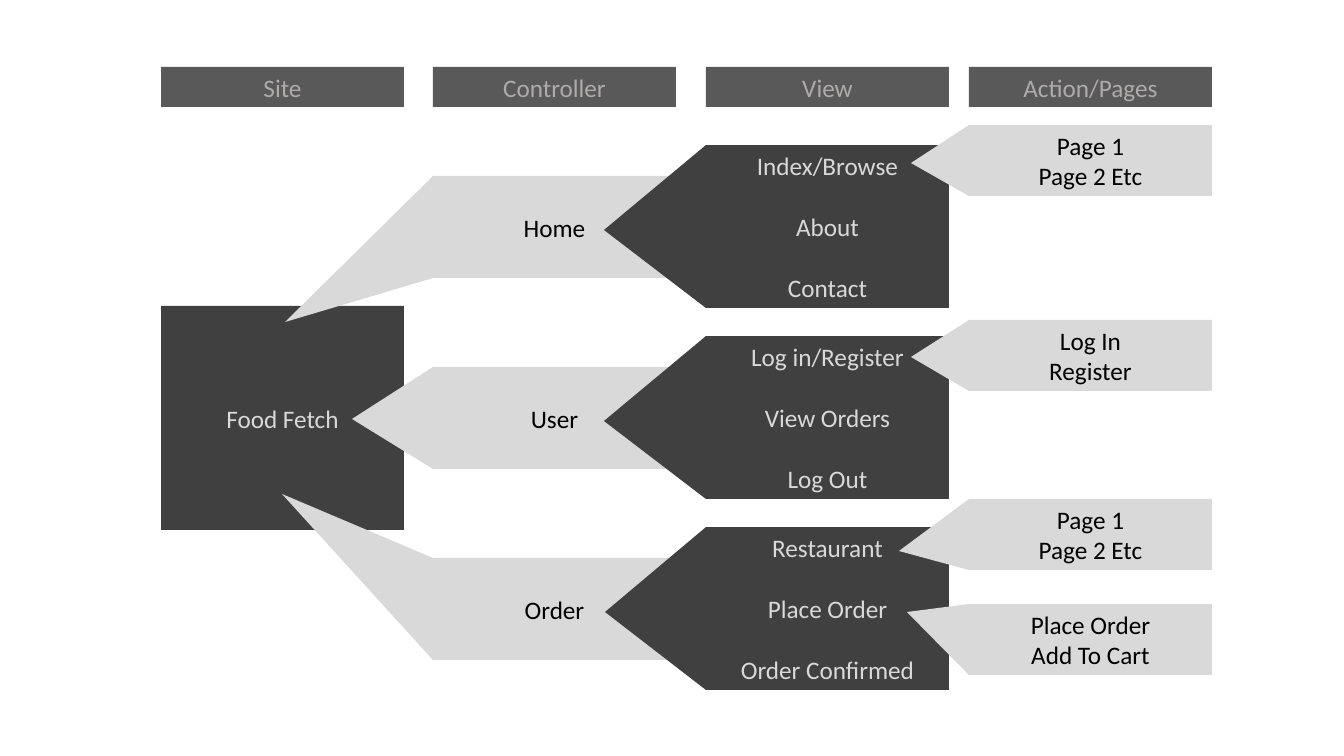
"""Build a site map slide with four columns of boxes joined by wedge pointers."""
import pptx
import pptx.dml.color
import pptx.enum.shapes
import pptx.enum.text
import pptx.util

EMU_PER_PX = 914400 / 100.8
PAGE_SIZE = (1344, 756)
BOX_WIDTH = 243
LINE_GAP = 22

DARK, LIGHT, HEADER = "404040", "D9D9D9", "595959"
HEADER_TEXT, BLACK = "AFABAB", "000000"

COLUMNS = [("Site", 161), ("Controller", 433), ("View", 706), ("Action/Pages", 969)]
HEADER_TOP, HEADER_HEIGHT = 67, 40

SITE = {"left": 161, "height": 224, "fill": DARK, "color": LIGHT}
CONTROLLER = {"left": 433, "height": 102, "fill": LIGHT, "color": BLACK}
VIEW = {"left": 706, "height": 163, "fill": DARK, "color": LIGHT, "gap": LINE_GAP}
ACTION = {"left": 969, "height": 71, "fill": LIGHT, "color": BLACK}

NODES = [
    (CONTROLLER, 176, ["Home"], (285, 322)),
    (CONTROLLER, 367, ["User"], (352, 419)),
    (CONTROLLER, 558, ["Order"], (282, 494)),
    (VIEW, 145, ["Index/Browse", "About", "Contact"], (604, 230)),
    (VIEW, 336, ["Log in/Register", "View Orders", "Log Out"], (604, 421)),
    (VIEW, 527, ["Restaurant", "Place Order", "Order Confirmed"], (605, 612)),
    (SITE, 306, ["Food Fetch"], None),
    (ACTION, 125, ["Page 1", "Page 2 Etc"], (911, 163)),
    (ACTION, 499, ["Page 1", "Page 2 Etc"], (899, 551)),
    (ACTION, 320, ["Log In", "Register"], (911, 357)),
    (ACTION, 604, ["Place Order", "Add To Cart"], (907, 612)),
]


def px(length):
    return pptx.util.Emu(round(length * EMU_PER_PX))


def rgb(code):
    return pptx.dml.color.RGBColor.from_string(code)


def paint(shape, fill):
    shape.shadow.inherit = False
    shape.fill.solid()
    shape.fill.fore_color.rgb = rgb(fill)
    shape.line.fill.background()


def write(para, text, color, size=18, font="Calibri", gap=0):
    para.alignment = pptx.enum.text.PP_ALIGN.CENTER
    para.space_before = pptx.util.Pt(gap)
    span = para.add_run()
    span.text = text
    span.font.name = font
    span.font.size = pptx.util.Pt(size)
    span.font.color.rgb = rgb(color)


def add_box(page, lines, top, left, height, fill, color, gap=0):
    box = page.shapes.add_shape(
        pptx.enum.shapes.MSO_SHAPE.RECTANGLE, px(left), px(top), px(BOX_WIDTH), px(height))
    paint(box, fill)
    frame = box.text_frame
    frame.word_wrap = True
    frame.vertical_anchor = pptx.enum.text.MSO_ANCHOR.MIDDLE
    frame.margin_top = frame.margin_bottom = px(5)
    for index, line in enumerate(lines):
        para = frame.add_paragraph() if index else frame.paragraphs[0]
        write(para, line, color, gap=gap if index else 0)


def add_pointer(page, tip, left, top, height, fill):
    builder = page.shapes.build_freeform(*tip, scale=EMU_PER_PX)
    builder.add_line_segments([(left, top), (left, top + height)], close=True)
    paint(builder.convert_to_shape(), fill)


def main():
    deck = pptx.Presentation()
    deck.slide_width, deck.slide_height = map(px, PAGE_SIZE)
    page = deck.slides.add_slide(deck.slide_layouts[6])
    for label, left in COLUMNS:
        add_box(page, [label], HEADER_TOP, left, HEADER_HEIGHT, HEADER, HEADER_TEXT)
    for style, top, lines, tip in NODES:
        add_box(page, lines, top, **style)
    for style, top, lines, tip in NODES:
        if tip:
            add_pointer(page, tip, style["left"], top, style["height"], style["fill"])
    deck.save("out.pptx")


if __name__ == "__main__":
    main()
